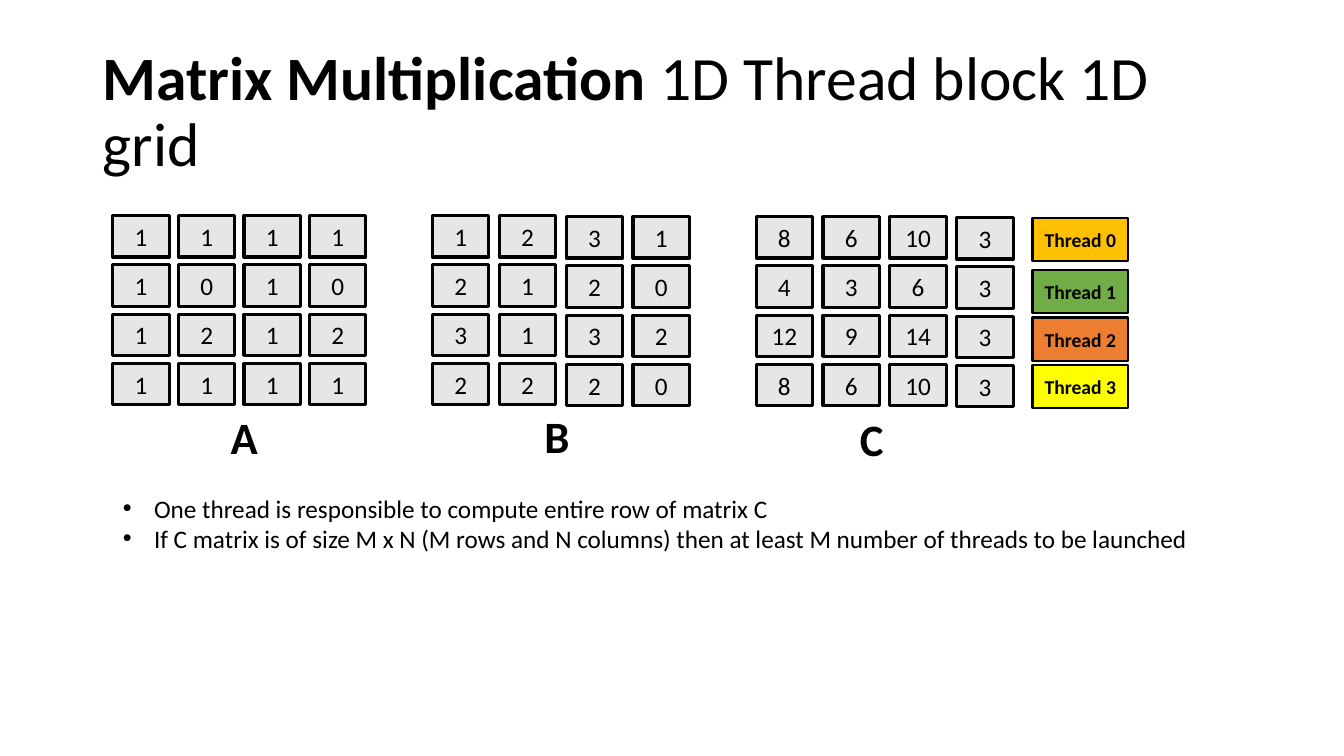
from lxml import etree
from pptx import Presentation
from pptx.dml.color import RGBColor
from pptx.enum.shapes import MSO_SHAPE
from pptx.enum.text import MSO_ANCHOR, MSO_AUTO_SIZE, PP_ALIGN
from pptx.oxml.ns import qn
from pptx.util import Inches, Pt

FONT = "Calibri"
BLACK = "000000"
CELL_FILL = "E7E6E6"
CELL_WIDTH, CELL_HEIGHT, ROW_PITCH = 0.56, 0.41, 0.488
THREAD_LEFT, THREAD_WIDTH, THREAD_HEIGHT = 10.24, 0.95, 0.43

TITLE = [("Matrix Multiplication ", True), ("1D Thread block 1D grid", False)]
MATRICES = [
    {
        "rows": [(1, 1, 1, 1), (1, 0, 1, 0), (1, 2, 1, 2), (1, 1, 1, 1)],
        "left": 1.12, "pitch": 0.65, "column_tops": (2.14, 2.14, 2.14, 2.14),
        "label": "A", "label_box": (2.19, 4.02, 0.47, 0.64), "wrap": False,
    },
    {
        "rows": [(1, 2, 3, 1), (2, 1, 2, 0), (3, 1, 3, 2), (2, 2, 2, 0)],
        "left": 4.29, "pitch": 0.663, "column_tops": (2.14, 2.14, 2.15, 2.15),
        "label": "B", "label_box": (5.3, 4.01, 0.45, 0.64), "wrap": False,
    },
    {
        "rows": [(8, 6, 10, 3), (4, 3, 6, 3), (12, 9, 14, 3), (8, 6, 10, 3)],
        "left": 7.5, "pitch": 0.663, "column_tops": (2.15, 2.15, 2.15, 2.16),
        "label": "C", "label_box": (8.43, 4.04, 0.45, 0.64), "wrap": True,
    },
]
THREADS = [
    ("Thread 0", 2.16, "FFC000"),
    ("Thread 1", 2.68, "70AD47"),
    ("Thread 2", 3.15, "ED7D31"),
    ("Thread 3", 3.62, "FFFF00"),
]
NOTES = [
    "One thread is responsible to compute entire row of matrix C",
    "If C matrix is of size M x N (M rows and N columns) then at least "
    "M number of threads to be launched",
]


def color(value):
    return RGBColor.from_string(value)


def set_font(font, size, bold=False):
    font.name = FONT
    font.size = Pt(size)
    font.bold = bold
    font.color.rgb = color(BLACK)


def add_box(shapes, text, box, fill, line_width, size, bold=False):
    """Add an outlined rectangle with centred text."""
    shape = shapes.add_shape(MSO_SHAPE.RECTANGLE, *map(Inches, box))
    shape.shadow.inherit = False
    shape.fill.solid()
    shape.fill.fore_color.rgb = color(fill)
    shape.line.color.rgb = color(BLACK)
    shape.line.width = Pt(line_width)
    shape.text_frame.vertical_anchor = MSO_ANCHOR.MIDDLE
    paragraph = shape.text_frame.paragraphs[0]
    paragraph.text = text
    paragraph.alignment = PP_ALIGN.CENTER
    set_font(paragraph.font, size, bold)


def add_text_frame(slide, box, wrap=True, grow=True):
    frame = slide.shapes.add_textbox(*map(Inches, box)).text_frame
    frame.word_wrap = wrap
    frame.auto_size = MSO_AUTO_SIZE.SHAPE_TO_FIT_TEXT if grow else MSO_AUTO_SIZE.NONE
    return frame


def add_title(slide):
    frame = add_text_frame(slide, (0.92, 0.4, 11.5, 1.45), grow=False)
    frame.vertical_anchor = MSO_ANCHOR.MIDDLE
    paragraph = frame.paragraphs[0]
    paragraph.line_spacing = 0.9
    for text, bold in TITLE:
        run = paragraph.add_run()
        run.text = text
        set_font(run.font, 44, bold)


def add_matrix(slide, matrix):
    group = slide.shapes.add_group_shape()
    for column, top in enumerate(matrix["column_tops"]):
        left = matrix["left"] + column * matrix["pitch"]
        for row, values in enumerate(matrix["rows"]):
            box = (left, top + row * ROW_PITCH, CELL_WIDTH, CELL_HEIGHT)
            add_box(group.shapes, str(values[column]), box, CELL_FILL, 2.25, 18)
    frame = add_text_frame(slide, matrix["label_box"], matrix["wrap"])
    paragraph = frame.paragraphs[0]
    paragraph.text = matrix["label"]
    set_font(paragraph.font, 32, True)


def add_notes(slide):
    frame = add_text_frame(slide, (1.12, 4.84, 11.06, 0.71))
    for index, note in enumerate(NOTES):
        paragraph = frame.add_paragraph() if index else frame.paragraphs[0]
        paragraph.text = note
        properties = paragraph._p.get_or_add_pPr()
        properties.set("marL", str(Inches(0.31)))
        properties.set("indent", str(-Inches(0.31)))
        etree.SubElement(properties, qn("a:buFont"), typeface="Arial")
        etree.SubElement(properties, qn("a:buChar"), char="•")
        set_font(paragraph.font, 18)


def main():
    presentation = Presentation()
    presentation.slide_width = Inches(13.33)
    presentation.slide_height = Inches(7.5)
    slide = presentation.slides.add_slide(presentation.slide_layouts[6])
    add_title(slide)
    for matrix in MATRICES:
        add_matrix(slide, matrix)
    for text, top, fill in THREADS:
        box = (THREAD_LEFT, top, THREAD_WIDTH, THREAD_HEIGHT)
        add_box(slide.shapes, text, box, fill, 1.5, 14, True)
    add_notes(slide)
    presentation.save("out.pptx")


if __name__ == "__main__":
    main()
